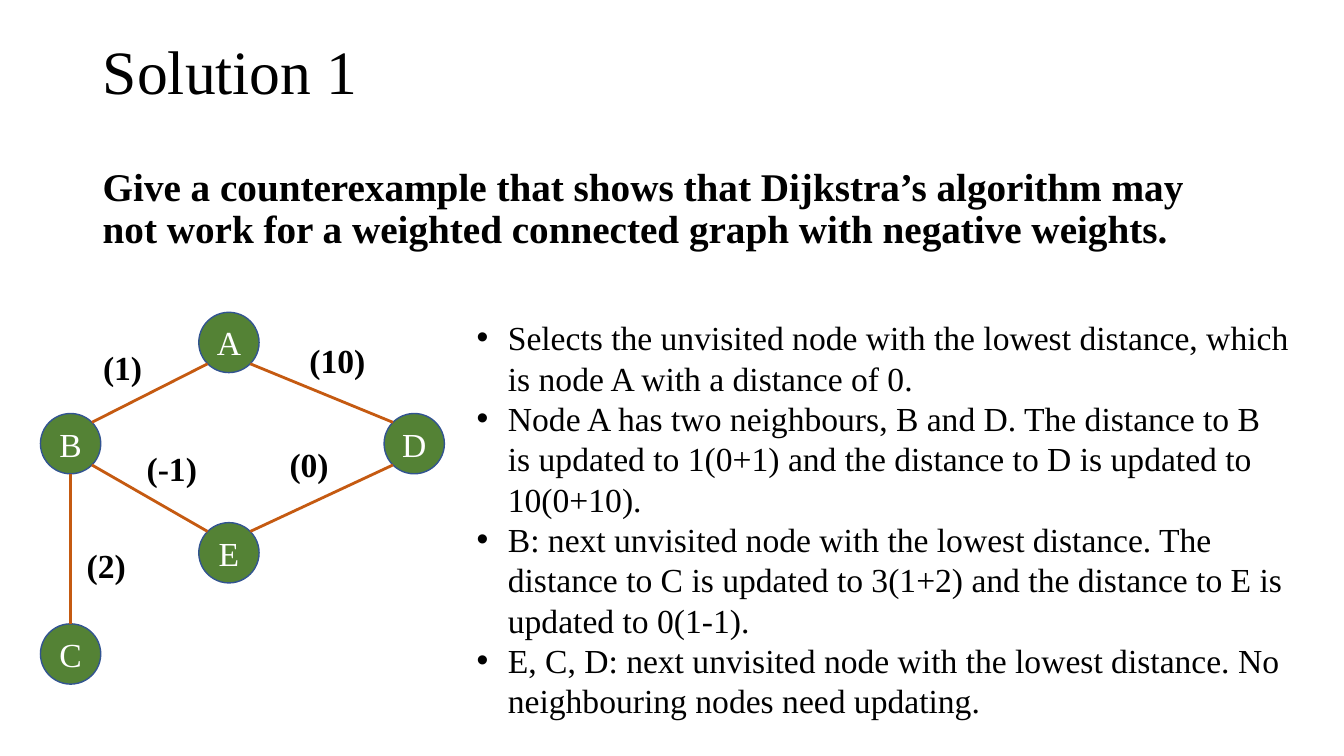
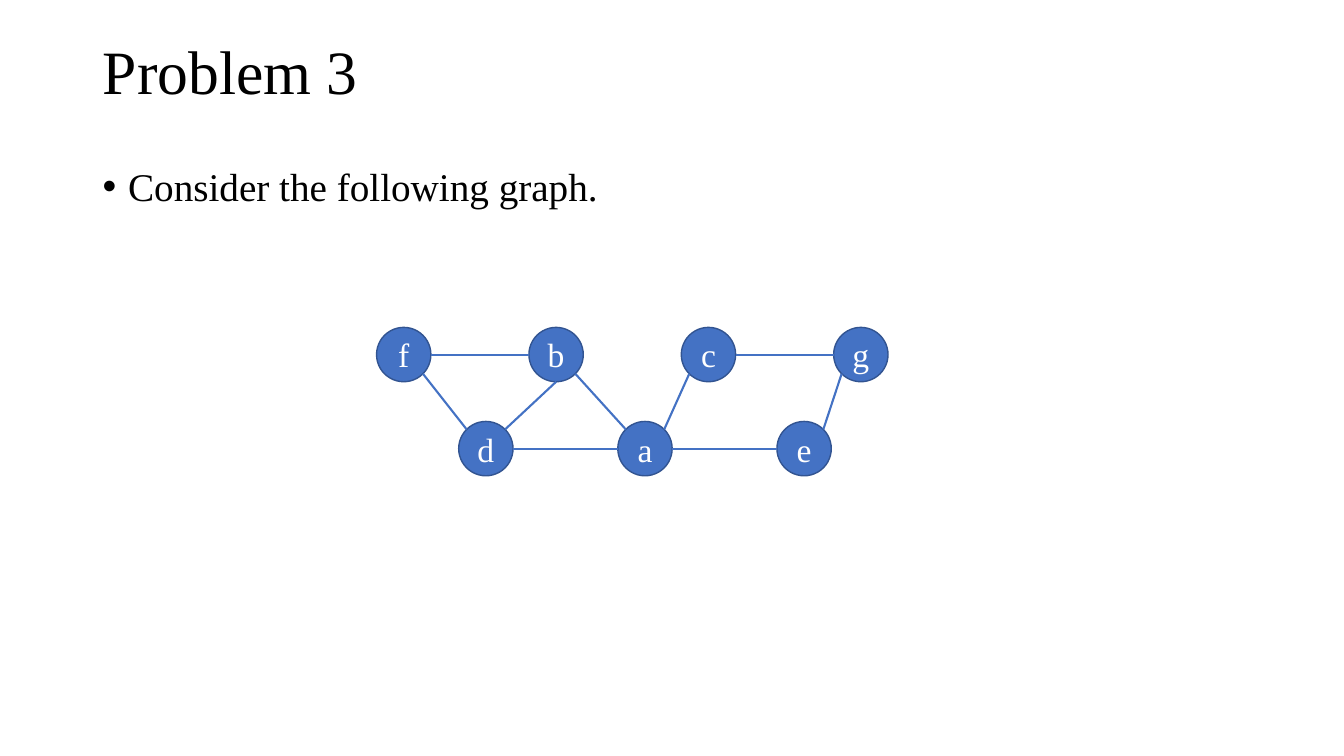
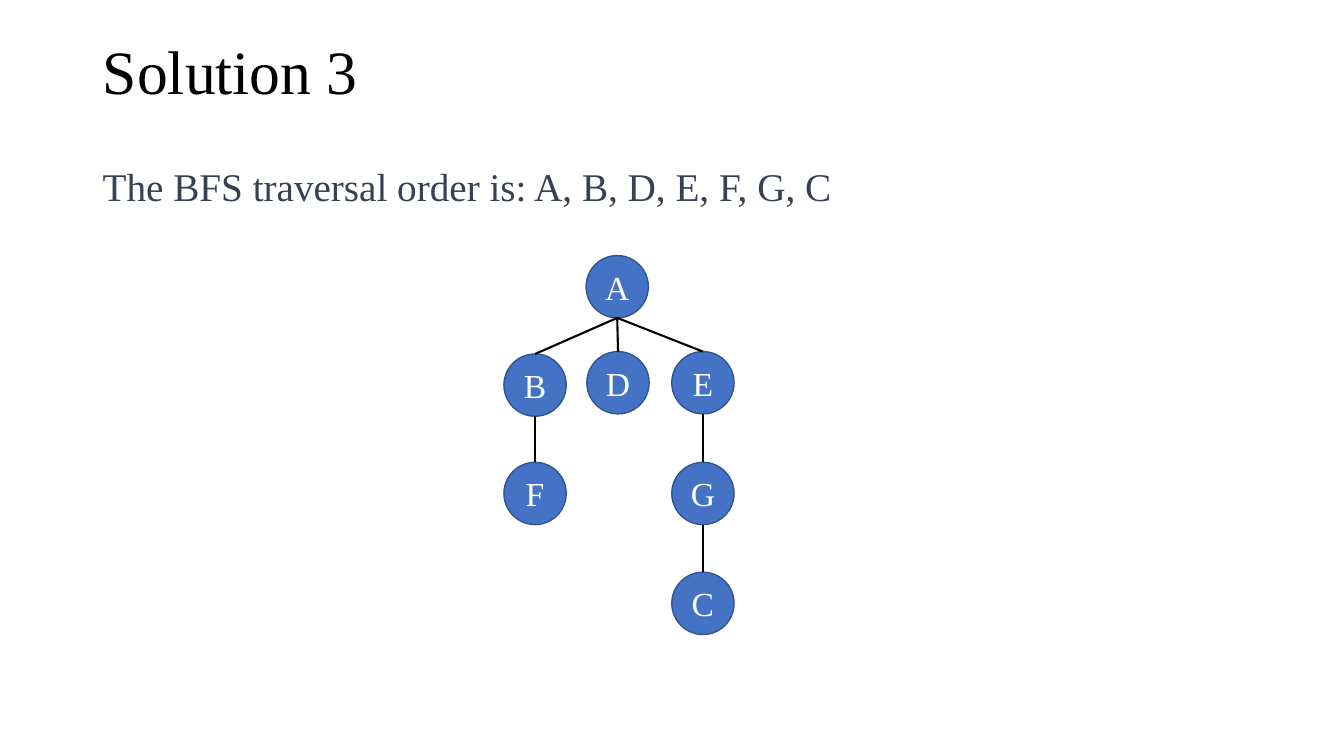
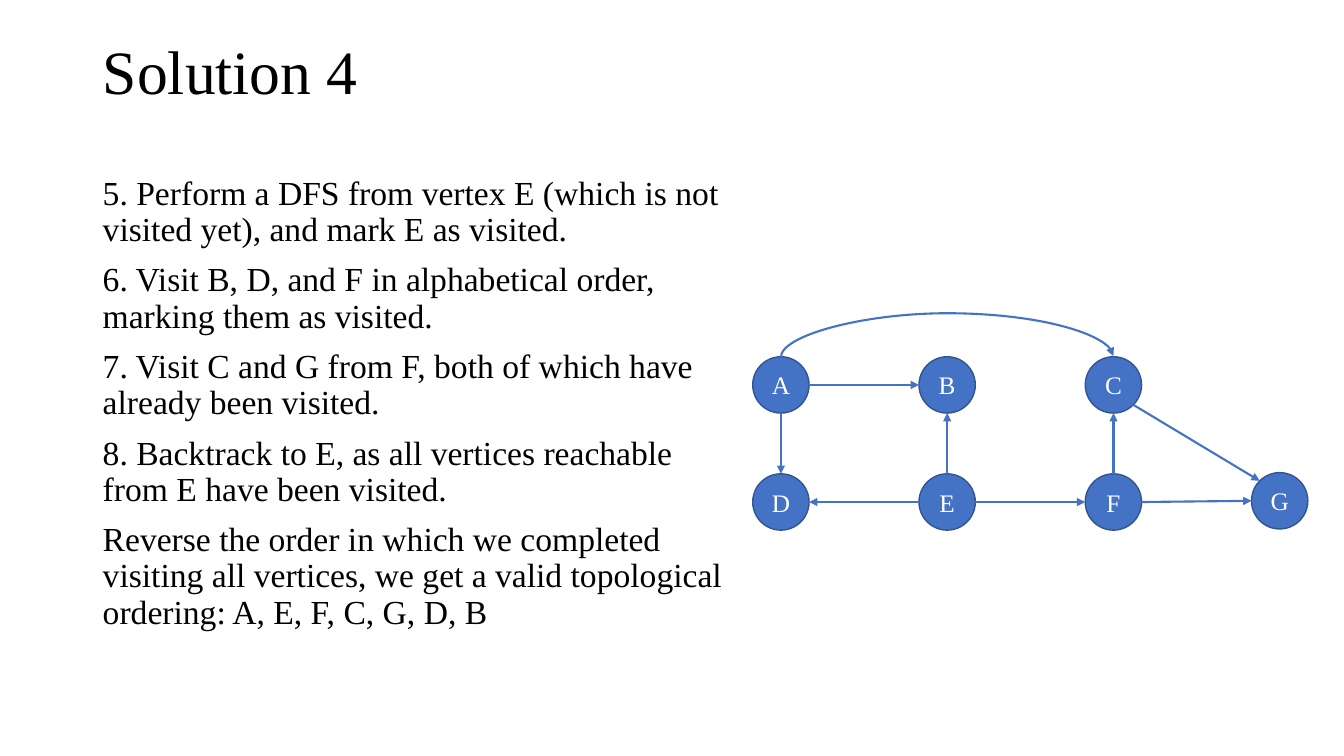
from dataclasses import dataclass
from math import sqrt

from lxml.etree import SubElement
from pptx import Presentation
from pptx.dml.color import RGBColor
from pptx.enum.shapes import MSO_CONNECTOR, MSO_SHAPE
from pptx.enum.text import MSO_ANCHOR, MSO_AUTO_SIZE, PP_ALIGN
from pptx.oxml.ns import qn
from pptx.util import Cm, Pt


@dataclass(frozen=True)
class Theme:
    font: str = "Times New Roman"
    black: RGBColor = RGBColor(0x00, 0x00, 0x00)
    white: RGBColor = RGBColor(0xFF, 0xFF, 0xFF)
    slate: RGBColor = RGBColor(0x37, 0x41, 0x51)
    blue: RGBColor = RGBColor(0x44, 0x72, 0xC4)
    navy: RGBColor = RGBColor(0x32, 0x54, 0x91)
    green: RGBColor = RGBColor(0x54, 0x82, 0x35)
    rust: RGBColor = RGBColor(0xC5, 0x5A, 0x11)
    title: int = 44
    lead: int = 28
    text: int = 24
    small: int = 18


T = Theme()
TITLE_BOX = (2.34, 0.05, 29.21, 3.68)
LEAD_BOX = (2.34, 4.09, 29.21, 13.06)
DIAGONAL = 0.5 / sqrt(2)
SIDES = {
    "n": (0.5, 0),
    "s": (0.5, 1),
    "w": (0, 0.5),
    "e": (1, 0.5),
    "nw": (0.5 - DIAGONAL, 0.5 - DIAGONAL),
    "ne": (0.5 + DIAGONAL, 0.5 - DIAGONAL),
    "sw": (0.5 - DIAGONAL, 0.5 + DIAGONAL),
    "se": (0.5 + DIAGONAL, 0.5 + DIAGONAL),
}


def cms(*lengths):
    return [Cm(length) for length in lengths]


def write(tf, lines, size, color=T.black, bold=False, align=PP_ALIGN.LEFT,
          spacing=None, before=0, indent=0):
    for i, line in enumerate(lines):
        p = tf.add_paragraph() if i else tf.paragraphs[0]
        p.alignment = align
        p.space_before = Pt(before)
        if spacing:
            p.line_spacing = spacing
        if indent:
            pPr = p._p.get_or_add_pPr()
            pPr.set("marL", str(Cm(indent)))
            pPr.set("indent", str(-Cm(indent)))
            SubElement(pPr, qn("a:buFont"), typeface="Arial")
            SubElement(pPr, qn("a:buChar"), char="•")
        r = p.add_run()
        r.text = line
        r.font.name = T.font
        r.font.size = Pt(size)
        r.font.bold = bold
        r.font.color.rgb = color


def add_text(s, box, lines, size, **style):
    tf = s.shapes.add_textbox(*cms(*box)).text_frame
    tf.word_wrap = True
    write(tf, lines, size, **style)


def add_body(s, box, lines, size, **style):
    add_text(s, box, lines, size, spacing=0.9, before=10, **style)


def add_titled_slide(prs, title):
    s = prs.slides.add_slide(prs.slide_layouts[5])
    sp = s.shapes.title
    sp.left, sp.top, sp.width, sp.height = cms(*TITLE_BOX)
    tf = sp.text_frame
    tf.vertical_anchor = MSO_ANCHOR.MIDDLE
    write(tf, [title], T.title, spacing=0.9)
    return s


def add_node(s, x, y, size, name, fill, text_size):
    sp = s.shapes.add_shape(MSO_SHAPE.OVAL, *cms(x, y, size, size))
    sp.shadow.inherit = False
    sp.fill.solid()
    sp.fill.fore_color.rgb = fill
    sp.line.color.rgb = T.navy
    sp.line.width = Pt(1)
    tf = sp.text_frame
    tf.margin_left = tf.margin_right = tf.margin_top = tf.margin_bottom = 0
    tf.vertical_anchor = MSO_ANCHOR.MIDDLE
    write(tf, [name], text_size, color=T.white, align=PP_ALIGN.CENTER)


def add_edge(s, start, end, color, width=1.5, arrow=False,
             kind=MSO_CONNECTOR.STRAIGHT):
    c = s.shapes.add_connector(kind, *cms(*start, *end))
    c.line.color.rgb = color
    c.line.width = Pt(width)
    if arrow:
        SubElement(c.line._get_or_add_ln(), qn("a:tailEnd"), type="triangle")
    SubElement(c._element.spPr, qn("a:effectLst"))
    return c


def add_arch(s, start, span, rise, color):
    x, y = start
    step = 0.03
    mid = x + span / 2
    c = add_edge(s, (mid + step / 2, y + span / 2),
                 (mid - step / 2, y - span / 2),
                 color, arrow=True, kind=MSO_CONNECTOR.CURVE)
    spPr = c._element.spPr
    spPr.find(qn("a:xfrm")).set("rot", "5400000")
    guides = spPr.find(qn("a:prstGeom")).find(qn("a:avLst"))
    SubElement(guides, qn("a:gd"), name="adj1",
               fmla=f"val {round(rise / step * 100000)}")


def add_graph(s, origin, size, nodes, edges, fill=T.blue, line=T.blue,
              text_size=T.text, width=1.5, arrow=False):
    left, top = origin
    for name, (x, y) in nodes.items():
        add_node(s, left + x, top + y, size, name, fill, text_size)

    def point(name, side):
        x, y = nodes[name]
        dx, dy = SIDES[side]
        return left + x + dx * size, top + y + dy * size

    for edge in edges:
        a, a_side, b, b_side = edge.split()
        add_edge(s, point(a, a_side), point(b, b_side), line, width, arrow)


def add_weights(s, origin, weights):
    left, top = origin
    for text, x, y, width in weights:
        sp = s.shapes.add_textbox(*cms(left + x, top + y, width, 1.27))
        tf = sp.text_frame
        tf.word_wrap = False
        tf.auto_size = MSO_AUTO_SIZE.SHAPE_TO_FIT_TEXT
        write(tf, [text], T.text, bold=True, align=PP_ALIGN.CENTER)


def counterexample_slide(prs):
    s = add_titled_slide(prs, "Solution 1")
    add_body(s, LEAD_BOX, [
        "Give a counterexample that shows that Dijkstra’s algorithm may not "
        "work for a weighted connected graph with negative weights."],
        T.lead, bold=True)
    origin = (1.02, 7.87)
    nodes = {"A": (3.99, 0), "B": (0, 2.55), "D": (8.66, 2.55),
             "E": (3.99, 5.3), "C": (0, 7.85)}
    edges = ["A sw B ne", "B s C n", "B se E nw", "D sw E ne", "A se D nw"]
    add_graph(s, origin, 1.52, nodes, edges, fill=T.green, line=T.rust, width=2)
    add_text(s, (11.76, 7.87, 21.01, 10.52), [
        "Selects the unvisited node with the lowest distance, which is node A "
        "with a distance of 0.",
        "Node A has two neighbours, B and D. The distance to B is updated to "
        "1(0+1) and the distance to D is updated to 10(0+10).",
        "B: next unvisited node with the lowest distance. The distance to C is "
        "updated to 3(1+2) and the distance to E is updated to 0(1-1).",
        "E, C, D: next unvisited node with the lowest distance. No neighbouring "
        "nodes need updating."], T.text, indent=0.79)
    add_weights(s, origin, [
        ("(1)", 1.32, 0.74, 1.5), ("(-1)", 2.41, 3.3, 1.8),
        ("(10)", 6.52, 0.58, 1.93), ("(0)", 6.02, 3.18, 1.5),
        ("(2)", 0.91, 5.74, 1.5)])


def graph_problem_slide(prs):
    s = add_titled_slide(prs, "Problem 3")
    add_body(s, LEAD_BOX, ["Consider the following graph."], T.lead, indent=0.64)
    nodes = {name: (3.84 * i, 0) for i, name in enumerate("fbcg")}
    nodes.update({name: (2.07 + 4.01 * i, 2.37) for i, name in enumerate("dae")})
    edges = ["f se d nw", "d ne b s", "b w f e", "d e a w", "a nw b se",
             "a ne c sw", "a e e w", "e ne g sw", "g w c e"]
    add_graph(s, (9.49, 8.25), 1.37, nodes, edges)


def traversal_slide(prs):
    s = add_titled_slide(prs, "Solution 3")
    add_body(s, LEAD_BOX, ["The BFS traversal order is: A, B, D, E, F, G, C"],
             T.lead, color=T.slate)
    nodes = {"A": (2.07, 0), "B": (0, 2.48), "D": (2.09, 2.42),
             "E": (4.23, 2.42), "F": (0, 5.21), "G": (4.23, 5.21),
             "C": (4.23, 7.98)}
    edges = ["A s B n", "B s F n", "G s C n", "E s G n", "A s D n", "A s E n"]
    add_graph(s, (12.7, 6.44), 1.57, nodes, edges, line=T.black)


def topological_slide(prs):
    s = add_titled_slide(prs, "Solution 4")
    add_body(s, (2.34, 4.32, 16.15, 12.88), [
        "5. Perform a DFS from vertex E (which is not visited yet), and mark E "
        "as visited.",
        "6. Visit B, D, and F in alphabetical order, marking them as visited.",
        "7. Visit C and G from F, both of which have already been visited.",
        "8. Backtrack to E, as all vertices reachable from E have been visited.",
        "Reverse the order in which we completed visiting all vertices, we get "
        "a valid topological ordering: A, E, F, C, G, D, B"], T.text)
    left, top = 18.97, 8.99
    size, step, drop = 1.42, 4.19, 2.95
    nodes = {name: (step * i, 0) for i, name in enumerate("ABC")}
    nodes.update({name: (step * i, drop) for i, name in enumerate("DEF")})
    nodes["G"] = (3 * step, drop - 0.03)
    edges = ["A e B w", "A s D n", "E w D e", "E n B s", "E e F w", "F n C s",
             "F e G w", "C se G nw"]
    add_graph(s, (left, top), size, nodes, edges, text_size=T.small, arrow=True)
    add_arch(s, (left + size / 2, top), 2 * step, 1.11, T.blue)


def main():
    prs = Presentation()
    prs.slide_width, prs.slide_height = cms(33.87, 19.05)
    counterexample_slide(prs)
    graph_problem_slide(prs)
    traversal_slide(prs)
    topological_slide(prs)
    prs.save("out.pptx")


if __name__ == "__main__":
    main()
